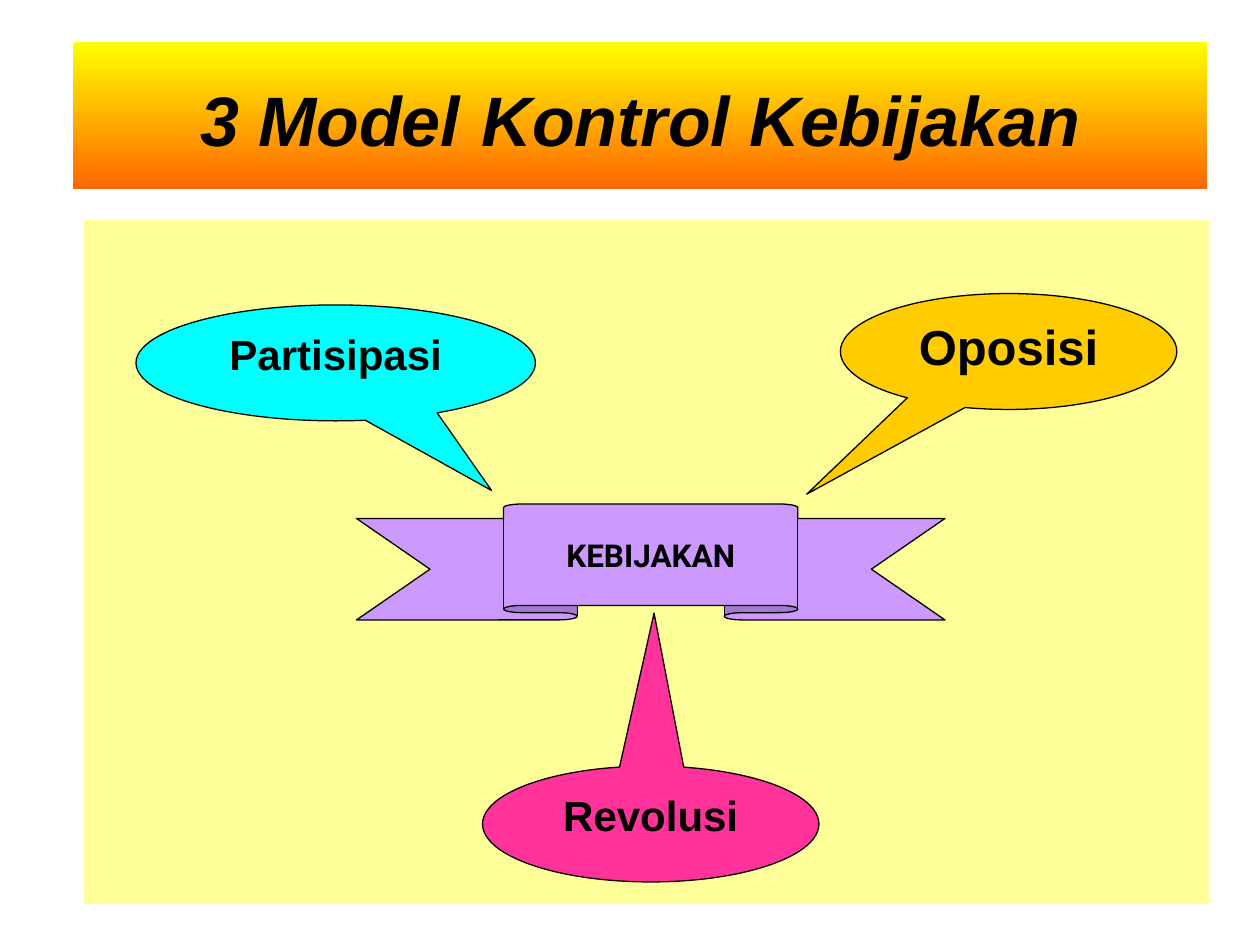
from pptx import Presentation
from pptx import util as u
from pptx.dml import color
from pptx.enum import shapes, text

BLACK = "000000"
KINDS = shapes.MSO_SHAPE


def rgb(value):
    return color.RGBColor.from_string(value)


class SlideBuilder:
    font = "Arial"
    line_width = u.Pt(0.75)

    def __init__(self, slide):
        self.slide = slide

    def set_frame(self, shape, anchor, wrap=True):
        """Set margins, anchor and wrapping; return the centred first paragraph."""
        frame = shape.text_frame
        frame.auto_size = text.MSO_AUTO_SIZE.NONE
        frame.word_wrap = wrap
        frame.vertical_anchor = anchor
        frame.margin_left = frame.margin_right = u.Inches(0.1)
        frame.margin_top = frame.margin_bottom = u.Inches(0.05)
        paragraph = frame.paragraphs[0]
        paragraph.alignment = text.PP_ALIGN.CENTER
        return paragraph

    def add_run(self, paragraph, words, size, font=None, italic=False):
        run = paragraph.add_run()
        run.text = words
        run.font.name = font or self.font
        run.font.size = u.Pt(size)
        run.font.bold = True
        run.font.italic = italic
        run.font.color.rgb = rgb(BLACK)

    def add_title(self, box, runs, gradient):
        title = self.slide.shapes.title
        title.left, title.top, title.width, title.height = map(u.Inches, box)
        title.fill.gradient()
        title.fill.gradient_angle = 270
        for stop, position, value in zip(title.fill.gradient_stops, (0, 1), gradient):
            stop.position = position
            stop.color.rgb = rgb(value)
        paragraph = self.set_frame(title, text.MSO_ANCHOR.MIDDLE)
        for words, size, italic in runs:
            self.add_run(paragraph, words, size, italic=italic)

    def add_shape(self, kind, box, fill, line=BLACK, adjustments=()):
        shape = self.slide.shapes.add_shape(kind, *map(u.Inches, box))
        shape.shadow.inherit = False
        shape.fill.solid()
        shape.fill.fore_color.rgb = rgb(fill)
        shape.line.color.rgb = rgb(line)
        shape.line.width = self.line_width
        for index, value in enumerate(adjustments):
            shape.adjustments[index] = value
        return shape

    def add_callout(self, words, size, box, fill, tip):
        callout = self.add_shape(KINDS.OVAL_CALLOUT, box, fill, adjustments=tip)
        paragraph = self.set_frame(callout, text.MSO_ANCHOR.TOP)
        self.add_run(paragraph, words, size)

    def add_ribbon(self, words, size, box, fill, font):
        ribbon = self.add_shape(KINDS.UP_RIBBON, box, fill, adjustments=(0.125, 0.5))
        paragraph = self.set_frame(ribbon, text.MSO_ANCHOR.MIDDLE, wrap=False)
        self.add_run(paragraph, words, size, font)


def main():
    presentation = Presentation()
    presentation.slide_width = u.Inches(10)
    presentation.slide_height = u.Inches(7.5)
    title_only = presentation.slide_layouts[5]
    builder = SlideBuilder(presentation.slides.add_slide(title_only))

    builder.add_title(
        (0.58, 0.33, 9, 1.17),
        [("3 Model", 40, True), (" ", 44, False), ("Kontrol Kebijakan", 40, True)],
        ("FFFF00", "FF6600"),
    )
    builder.add_shape(KINDS.RECTANGLE, (0.67, 1.75, 8.92, 5.42), "FFFF99", "FFFF99")
    builder.add_callout("Oposisi", 28, (6.67, 2.33, 2.67, 0.92), "FFCC00", (-0.6, 1.23))
    builder.add_callout("Partisipasi", 24, (1.08, 2.42, 3.17, 0.92), "00FFFF", (0.39, 1.1))
    builder.add_ribbon("KEBIJAKAN", 18, (2.83, 4, 4.67, 0.92), "CC99FF", "Roboto")
    builder.add_callout("Revolusi", 24, (3.83, 6.08, 2.67, 0.92), "FF3399", (0.01, -1.82))

    presentation.save("out.pptx")


if __name__ == "__main__":
    main()
